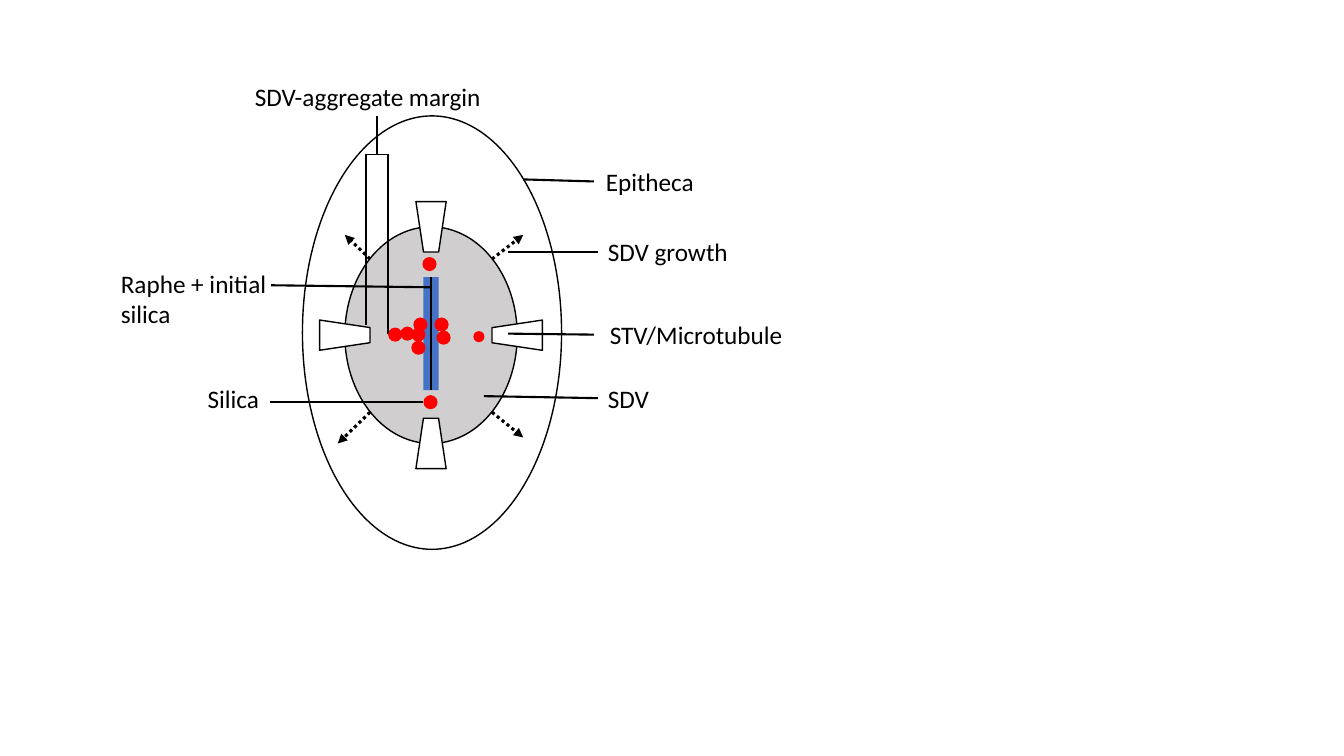
from lxml.etree import SubElement as add_element
from pptx import Presentation
from pptx.dml.color import RGBColor
from pptx.enum.dml import MSO_LINE_DASH_STYLE as DASH
from pptx.enum.shapes import MSO_CONNECTOR, MSO_SHAPE as SHAPE
from pptx.enum.text import MSO_AUTO_SIZE as AUTO_SIZE
from pptx.oxml.ns import qn
from pptx.util import Inches, Pt

CELLS_PER_INCH = 10
BLACK, WHITE, GREY, BLUE, RED = "000000", "FFFFFF", "D0CECE", "4472C4", "FF0000"
CENTRE_X, CENTRE_Y = 42.75, 33.25
SDV_WIDTH, SDV_HEIGHT = 17.1, 21.5
RADIUS_X, RADIUS_Y = SDV_WIDTH / 2, SDV_HEIGHT / 2
RAPHE_TOP, RAPHE_BOTTOM = 27.5, 38.7
MARGIN_LEFT, MARGIN_RIGHT, MARGIN_TOP = 36.3, 38.5, 15.3

TUBULES = [(0, 1, 0), (-1, 0, 90), (0, -1, 180), (1, 0, 270)]
GROWTH_ARROWS = [
    ((48.8, 25.7), (51.9, 23.3)),
    ((48.8, 40.9), (51.9, 43.4)),
    ((36.7, 40.9), (33.5, 44)),
    ((36.7, 25.7), (34.2, 23.3)),
]
INNER_SILICA = [(40.4, 33.1), (41.5, 33.2), (42.6, 26.2), (42.7, 39.9)]
OUTER_SILICA = [(39.2, 33.2), (41.5, 34.5), (41.7, 32.2), (43.8, 32.2), (44, 33.5)]
CALLOUTS = [
    ("SDV", (59.3, 37.5, 6.1), (48, 39.3), (59.3, 39.5)),
    ("SDV growth", (59.3, 23, 14.1), (50.4, 25), (59.3, 25)),
    ("STV/Microtubule", (59.5, 31.2, 19.3), (50.4, 33.1), (58.9, 33.2)),
    ("Epitheca", (59.1, 16, 10.9), (51.9, 17.8), (58.9, 18)),
    ("Raphe + initial silica", (11, 26.1, 17.9), (42.7, 28.5), (26.9, 28.3)),
    ("Silica", (19.6, 37.5, 7.2), (42, 39.9), (26.8, 39.9)),
]


def cells(count):
    """Convert grid cells to a length."""
    return Inches(count / CELLS_PER_INCH)


def colour(code):
    """Turn a hex string into a colour."""
    return RGBColor.from_string(code)


def add_figure(page, kind, x, y, width, height, fill, outline=None, turn=0):
    """Draw a filled preset shape centred on a grid point."""
    figure = page.shapes.add_shape(
        kind, cells(x - width / 2), cells(y - height / 2), cells(width), cells(height))
    figure.shadow.inherit = False
    figure.rotation = turn
    figure.fill.solid()
    figure.fill.fore_color.rgb = colour(fill)
    if outline:
        figure.line.color.rgb = colour(outline)
        figure.line.width = Pt(1)
    else:
        figure.line.fill.background()


def add_line(page, start, end, weight=1, arrow=False):
    """Draw a straight black line, or a dotted arrow."""
    line = page.shapes.add_connector(
        MSO_CONNECTOR.STRAIGHT, *[cells(place) for place in (*start, *end)])
    line.line.color.rgb = colour(BLACK)
    line.line.width = Pt(weight)
    if arrow:
        line.line.dash_style = DASH.ROUND_DOT
        add_element(line.line._get_or_add_ln(), qn("a:tailEnd"), type="triangle")
    add_element(line._element.spPr, qn("a:effectLst"))


def add_label(page, text, left, top, width, height=4, wrap=False, size=18, font="Calibri"):
    """Write a label in a text box."""
    box = page.shapes.add_textbox(cells(left), cells(top), cells(width), cells(height))
    frame = box.text_frame
    frame.word_wrap = wrap
    frame.auto_size = AUTO_SIZE.SHAPE_TO_FIT_TEXT
    span = frame.paragraphs[0].add_run()
    span.text = text
    span.font.size = Pt(size)
    span.font.name = font
    span.font.color.rgb = colour(BLACK)


def add_silica(page, spots, size=1.4):
    """Draw red silica dots."""
    for x, y in spots:
        add_figure(page, SHAPE.OVAL, x, y, size, size, RED)


def add_cell(page):
    """Draw the epitheca, the SDV, its microtubules and its growth."""
    add_figure(page, SHAPE.OVAL, 42.85, 33, 25.7, 43, WHITE, BLACK)
    add_figure(page, SHAPE.OVAL, CENTRE_X, CENTRE_Y, SDV_WIDTH, SDV_HEIGHT, GREY, BLACK)
    for across, down, turn in TUBULES:
        add_figure(page, SHAPE.TRAPEZOID, CENTRE_X + across * RADIUS_X,
                   CENTRE_Y + down * RADIUS_Y, 3, 5, WHITE, BLACK, turn)
    for start, end in GROWTH_ARROWS:
        add_line(page, start, end, 2.25, arrow=True)
    add_figure(page, SHAPE.RECTANGLE, CENTRE_X, (RAPHE_TOP + RAPHE_BOTTOM) / 2,
               1.5, RAPHE_BOTTOM - RAPHE_TOP, BLUE)


def add_margin(page):
    """Draw the bracket that marks the SDV-aggregate margin."""
    middle = (MARGIN_LEFT + MARGIN_RIGHT) / 2
    add_line(page, (MARGIN_RIGHT, 33.1), (MARGIN_RIGHT, MARGIN_TOP))
    add_line(page, (MARGIN_LEFT, 32.2), (MARGIN_LEFT, MARGIN_TOP))
    add_line(page, (MARGIN_LEFT, MARGIN_TOP), (MARGIN_RIGHT, MARGIN_TOP))
    add_label(page, "SDV-aggregate margin", 24.3, 7.6, 24.8)
    add_line(page, (middle, MARGIN_TOP), (middle, 11.5))


def main():
    """Build the diagram and save the deck."""
    deck = Presentation()
    deck.slide_width, deck.slide_height = Inches(13.33), Inches(7.5)
    page = deck.slides.add_slide(deck.slide_layouts[6])
    add_cell(page)
    add_silica(page, INNER_SILICA)
    add_silica(page, [(47.5, 33.4)], size=1.1)
    for text, place, start, end in CALLOUTS:
        add_line(page, start, end, 1.5)
        wrap = text.startswith("Raphe")
        add_label(page, text, *place, height=7.1 if wrap else 4, wrap=wrap)
    add_margin(page)
    add_silica(page, OUTER_SILICA)
    add_line(page, (CENTRE_X, RAPHE_TOP), (CENTRE_X, RAPHE_BOTTOM))
    deck.save("out.pptx")


main()
